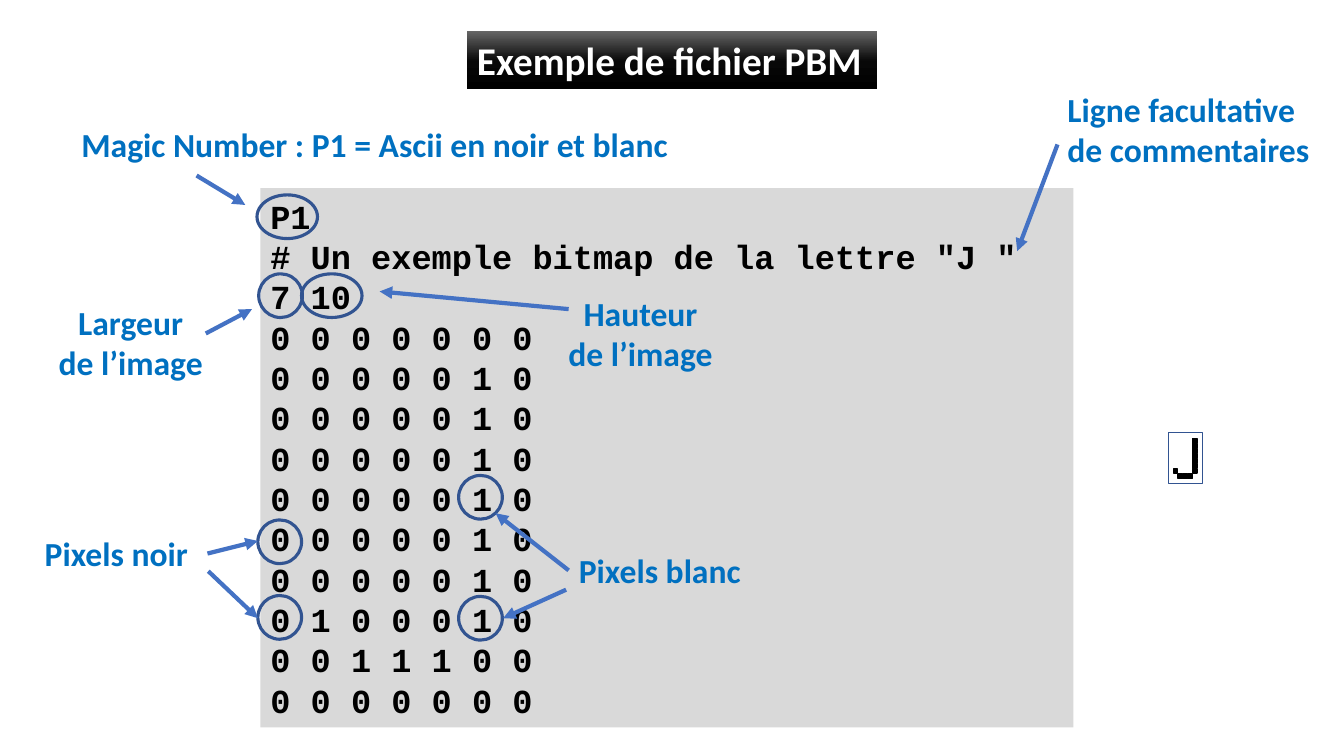
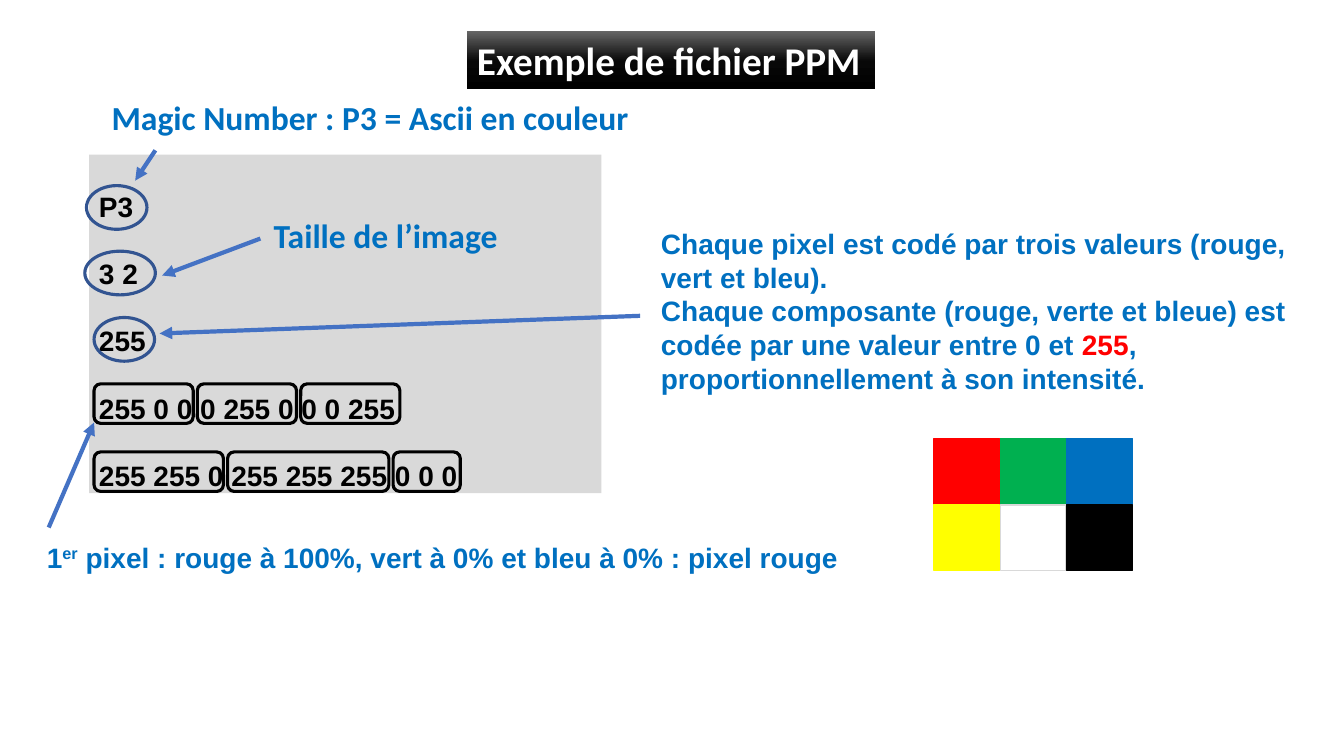
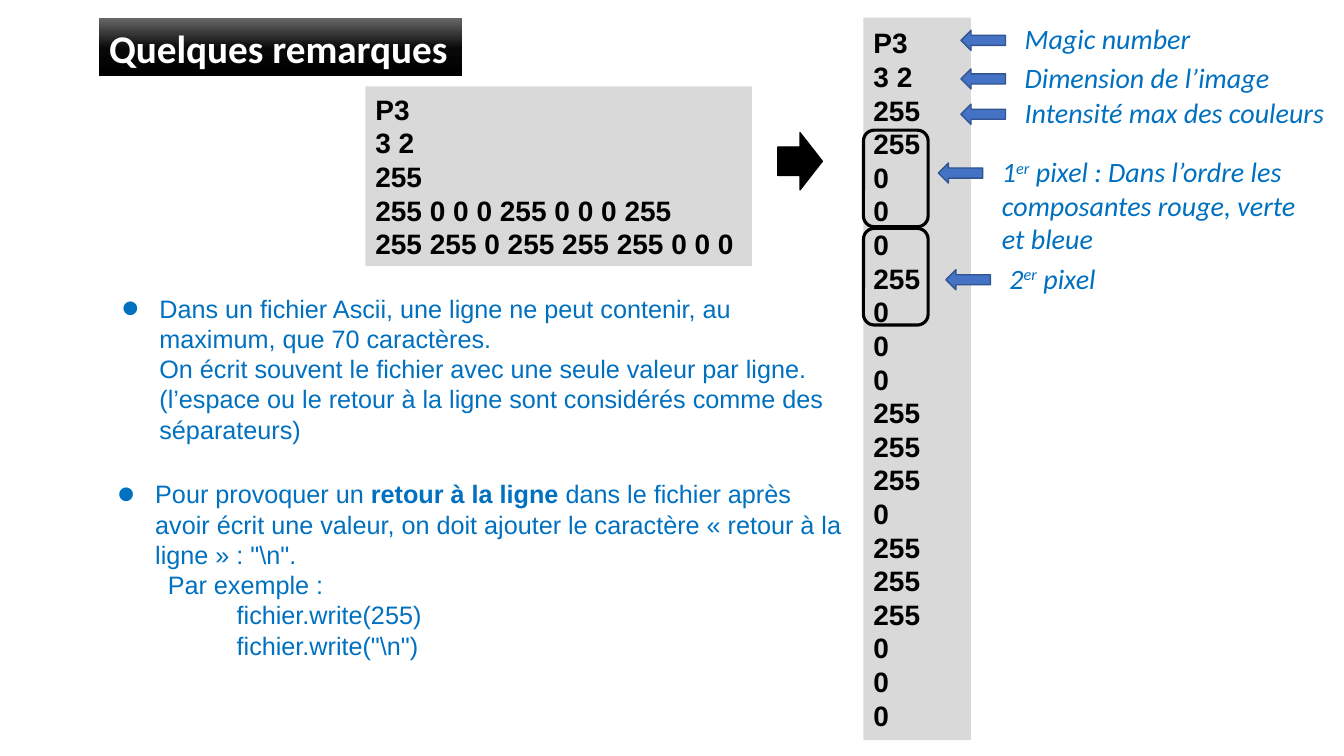
import copy
import dataclasses
import lxml.etree
import pptx
import pptx.dml.color
import pptx.enum.dml
import pptx.enum.shapes
import pptx.enum.text
import pptx.oxml.ns
import pptx.util

SHAPE = pptx.enum.shapes.MSO_SHAPE
ALIGN = pptx.enum.text.PP_ALIGN
qn = pptx.oxml.ns.qn

# Grid: 80 columns by 45 rows of square cells, six to the inch
COLS, ROWS = 80, 45
CELL = pptx.util.Inches(1 / 6)


@dataclasses.dataclass(frozen=True)
class Theme:
    black: str = "000000"
    white: str = "FFFFFF"
    panel: str = "D9D9D9"
    blue: str = "0070C0"
    red: str = "FF0000"
    green: str = "00B050"
    yellow: str = "FFFF00"
    arrow: str = "4472C4"
    edge: str = "325491"
    shade: tuple = ((0, "000000"), (0.48, "080808"), (1, "666666"))
    thin: float = 1
    ring: float = 2.25
    thick: float = 3

    def font(self, name, size, color, **more):
        return {"name": name, "size": pptx.util.Pt(size), "color": color, **more}

    @property
    def title(self):
        return self.font("Calibri", 28, self.white, bold=True)

    @property
    def label(self):
        return self.font("Calibri", 24, self.blue, bold=True)

    @property
    def note(self):
        return self.font("Calibri", 20, self.blue, italic=True)

    @property
    def mono(self):
        return self.font("Courier New", 24, self.black, bold=True)

    @property
    def code(self):
        return self.font("Arial", 20, self.black, bold=True)

    @property
    def strong(self):
        return self.font("Arial", 20, self.blue, bold=True)

    @property
    def body(self):
        return self.font("Arial", 18, self.blue)


T = Theme()
SUP = ("er", {"sup": 30})

# Content: the letter J as a bitmap, and the colour file
LETTER = ["0000000", *["0000010"] * 6, "0100010", "0011100", "0000000"]
HEAD = ["P3", "3 2", "255"]
PIXELS = [["255 0 0", "0 255 0", "0 0 255"],
          ["255 255 0", "255 255 255", "0 0 0"]]
FILE = HEAD + [" ".join(row) for row in PIXELS]


def cells(*counts):
    return [round(count * CELL) for count in counts]


def rgb(color):
    return pptx.dml.color.RGBColor.from_string(color)


# Text
def style(run, look):
    for key, value in look.items():
        if key == "color":
            run.font.color.rgb = rgb(value)
        elif key == "sup":
            run._r.get_or_add_rPr().set("baseline", str(value * 1000))
        else:
            setattr(run.font, key, value)


def write(frame, lines, look, **form):
    """Each line is a string or a list of strings and (string, look) pairs."""
    for at, line in enumerate(lines):
        par = frame.paragraphs[0] if at == 0 else frame.add_paragraph()
        for key, value in form.items():
            setattr(par, key, value)
        for part in [line] if isinstance(line, str) else line:
            words, more = (part, {}) if isinstance(part, str) else part
            for turn, piece in enumerate(words.split("\n")):
                if turn:
                    par.add_line_break()
                run = par.add_run()
                run.text = piece
                style(run, {**look, **more})


def text(page, box, lines, look, **form):
    frame = page.shapes.add_textbox(*cells(*box)).text_frame
    frame.word_wrap = True
    write(frame, lines, look, **form)
    return frame


def indent(par, left, hang=0):
    props = par._p.get_or_add_pPr()
    props.set("marL", str(cells(left)[0]))
    props.set("indent", str(cells(-hang)[0]))
    if hang:
        for tag, key, value in (("a:buSzPct", "val", "200000"),
                                ("a:buFont", "typeface", "Arial"),
                                ("a:buChar", "char", "•")):
            lxml.etree.SubElement(props, qn(tag)).set(key, value)


# Shapes
def draw(shapes, kind, box, fill=None, line=None, width=T.thin):
    item = shapes.add_shape(kind, *cells(*box))
    item.shadow.inherit = False
    if fill:
        item.fill.solid()
        item.fill.fore_color.rgb = rgb(fill)
    else:
        item.fill.background()
    if line:
        item.line.color.rgb = rgb(line)
        item.line.width = pptx.util.Pt(width)
    else:
        item.line.fill.background()
    return item


def title(page, words, x, y, wide):
    band = draw(page.shapes, SHAPE.RECTANGLE, (x, y, wide, 3.45))
    band.fill.gradient()
    band.fill.gradient_angle = 90
    last = band.fill.gradient_stops[1]._gs
    last.addprevious(copy.deepcopy(last))
    for stop, (place, color) in zip(band.fill.gradient_stops, T.shade):
        stop.position = place
        stop.color.rgb = rgb(color)
    band.text_frame.word_wrap = False
    write(band.text_frame, [words], T.title, alignment=ALIGN.LEFT)


def panel(page, box, lines, look, **form):
    frame = draw(page.shapes, SHAPE.RECTANGLE, box, T.panel).text_frame
    frame.word_wrap = True
    frame.vertical_anchor = pptx.enum.text.MSO_ANCHOR.MIDDLE
    write(frame, lines, look, alignment=ALIGN.LEFT, **form)


def ring(page, x, y, wide=2.6):
    draw(page.shapes, SHAPE.OVAL, (x, y, wide, 2.6), line=T.edge, width=T.ring)


def frame(page, *box):
    draw(page.shapes, SHAPE.ROUNDED_RECTANGLE, box, line=T.black, width=T.ring)


def arrow(page, *ends):
    straight = pptx.enum.shapes.MSO_CONNECTOR.STRAIGHT
    link = page.shapes.add_connector(straight, *cells(*ends))
    link.line.color.rgb = rgb(T.arrow)
    link.line.width = pptx.util.Pt(T.thick)
    tip = lxml.etree.SubElement(link.line._get_or_add_ln(), qn("a:tailEnd"))
    tip.set("type", "triangle")
    lxml.etree.SubElement(link._element.spPr, qn("a:effectLst"))


def note(page, x, y, wide, high, line):
    text(page, (x, y, wide, high), [line], T.note)
    mark = draw(page.shapes, SHAPE.RIGHT_ARROW, (x - 3.2, y + 0.8, 2.65, 1.2),
                T.arrow, T.edge)
    mark.rotation = 180


def glyph(page, x, y):
    """The letter in true size, one square for each 1 of the bitmap."""
    group = page.shapes.add_group_shape().shapes
    draw(group, SHAPE.RECTANGLE, (x, y, 2.05, 3.05), T.white, T.edge)
    for down, row in enumerate(LETTER):
        for over, bit in enumerate(row):
            if bit == "1":
                box = (x + 0.29 * over, y + 0.06 + 0.3 * down, 0.26, 0.26)
                draw(group, SHAPE.RECTANGLE, box, T.black, T.black)


# Slides
def bitmap(page):
    lines = ["P1", '# Un exemple bitmap de la lettre "J "', "7 10"]
    panel(page, (15.5, 11.2, 48.4, 32.1),
          lines + [" ".join(row) for row in LETTER], T.mono)
    text(page, (4.25, 7.1, 37.6, 3),
         ["Magic Number : P1 = Ascii en noir et blanc"], T.label)
    text(page, (62.95, 5, 15.85, 5.45),
         ["Ligne facultative", "de commentaires"], T.label)
    for x, y, lines in ((2.35, 17.65, ["Largeur", "de l’image"]),
                        (32.7, 17.15, ["Hauteur", "de l’image"]),
                        (1.5, 31.45, ["Pixels noir"]),
                        (33.85, 32.45, ["Pixels blanc"])):
        text(page, (x, y, 10.85, 3 * len(lines)), lines, T.label,
             alignment=ALIGN.CENTER)
    for spot in ((15.3, 11.6, 3.6), (15.4, 16.3), (17.95, 16.3, 3.6),
                 (15.35, 30.95), (15.35, 35.45), (27.3, 28.3), (27.3, 35.5)):
        ring(page, *spot)
    for ends in ((11.7, 10.45, 14.6, 12.2), (12.25, 19.85, 15, 18.4),
                 (33.85, 18.4, 22.6, 17.35), (62.95, 8.6, 60.55, 14.95),
                 (12.35, 32.95, 15.35, 32.2), (12.4, 34, 15.35, 36.8),
                 (33.85, 33.95, 29.5, 30.55), (33.7, 35.1, 29.95, 36.8)):
        arrow(page, *ends)
    title(page, "Exemple de fichier PBM", 27.8, 1.85, 24.4)
    glyph(page, 69.55, 25.75)


def color(page):
    panel(page, (5.3, 9.2, 30.5, 20.15), FILE, T.code, line_spacing=2.0)
    text(page, (6.05, 5.5, 37.6, 3),
         ["Magic Number : P3 = Ascii en couleur"], T.label)
    text(page, (15.7, 12.5, 17.15, 3), ["Taille de l’image"], T.label)
    title(page, "Exemple de fichier PPM", 27.8, 1.85, 24.3)
    text(page, (38.75, 13.2, 38.95, 10.7), [
        "Chaque pixel est codé par trois valeurs (rouge, vert et bleu).",
        ["Chaque composante (rouge, verte et bleue) est codée par une valeur "
         "entre 0 et ", ("255", {"color": T.red}),
         ", proportionnellement à son intensité."]], T.strong)
    text(page, (2.2, 31.85, 49.9, 2.65), [
        ["1", SUP, " pixel : rouge à 100%, vert à 0% et bleu à 0% : "
         "pixel rouge"]], T.strong)
    for spot in ((5.15, 11.05, 3.6), (5.05, 14.95, 4.2), (5.6, 18.9, 3.6)):
        ring(page, *spot)
    for ends in ((9.25, 8.95, 8.05, 10.75), (15.5, 14.2, 9.65, 16.4),
                 (38.1, 18.8, 9.5, 19.85), (2.9, 31.4, 5.6, 25.15)):
        arrow(page, *ends)
    # One frame around each pixel of the file
    for y, widths in ((22.85, (5.9, 5.9, 5.9)), (26.9, (7.7, 9.6, 4))):
        x = 5.6
        for wide in widths:
            frame(page, x, y, wide, 2.35)
            x += wide + 0.25
    # The six pixels, enlarged
    for down, row in enumerate(((T.red, T.green, T.blue),
                                (T.yellow, T.white, T.black))):
        for over, fill in enumerate(row):
            box = (55.6 + 3.95 * over, 26.1 + 3.95 * down, 3.9, 3.9)
            draw(page.shapes, SHAPE.RECTANGLE, box, fill,
                 T.panel if fill == T.white else fill)


def remarks(page):
    panel(page, (21.75, 5.15, 23, 10.7), FILE, T.code)
    title(page, "Quelques remarques", 5.9, 1.1, 21.6)
    values = [value for row in PIXELS for trio in row for value in trio.split()]
    panel(page, (51.4, 1.05, 6.4, 43), HEAD + values, T.code)
    for pixel in range(2):
        frame(page, 51.4, 7.75 + 5.85 * pixel, 3.85, 5.75)
    for x, y, wide, high, line in (
            (60.4, 1, 14.8, 2.65, "Magic number"),
            (60.4, 3.3, 19.2, 2.65, "Dimension de l’image"),
            (60.4, 5.4, 19.5, 2.65, "Intensité max des couleurs"),
            (59.05, 8.9, 20.1, 6.65,
             ["1", SUP, " pixel : Dans l’ordre les composantes rouge, verte "
              "et bleue"]),
            (59.5, 15.25, 6.5, 2.65, ["2", SUP, " pixel"])):
        note(page, x, y, wide, high, line)
    draw(page.shapes, SHAPE.RIGHT_ARROW, (46.3, 7.9, 2.65, 3.4),
         T.black, T.black)
    # Remarks
    limit = text(page, (6.65, 17.15, 43.45, 9.7), [
        "Dans un fichier Ascii, une ligne ne peut contenir, au maximum, que "
        "70 caractères.\nOn écrit souvent le fichier avec une seule valeur "
        "par ligne. (l’espace ou le retour à la ligne sont considérés comme "
        "des séparateurs)"], T.body)
    indent(limit.paragraphs[0], 2.25, 2.25)
    wrap = text(page, (6.4, 28.2, 44.3, 13.3), [
        ["Pour provoquer un ", ("retour à la ligne ", {"bold": True}),
         "dans le fichier après avoir écrit une valeur, on doit ajouter le "
         "caractère «\u00a0retour à la ligne\u00a0» : \"\\n\"."],
        "Par exemple :", "fichier.write(255)", 'fichier.write("\\n")'], T.body)
    for par, left, hang in zip(wrap.paragraphs, (2.25, 3, 7.1, 7.1),
                               (2.25, 0, 0, 0)):
        indent(par, left, hang)


def main():
    deck = pptx.Presentation()
    deck.slide_width, deck.slide_height = cells(COLS, ROWS)
    for build in (bitmap, color, remarks):
        build(deck.slides.add_slide(deck.slide_layouts[6]))
    deck.save("out.pptx")


main()
